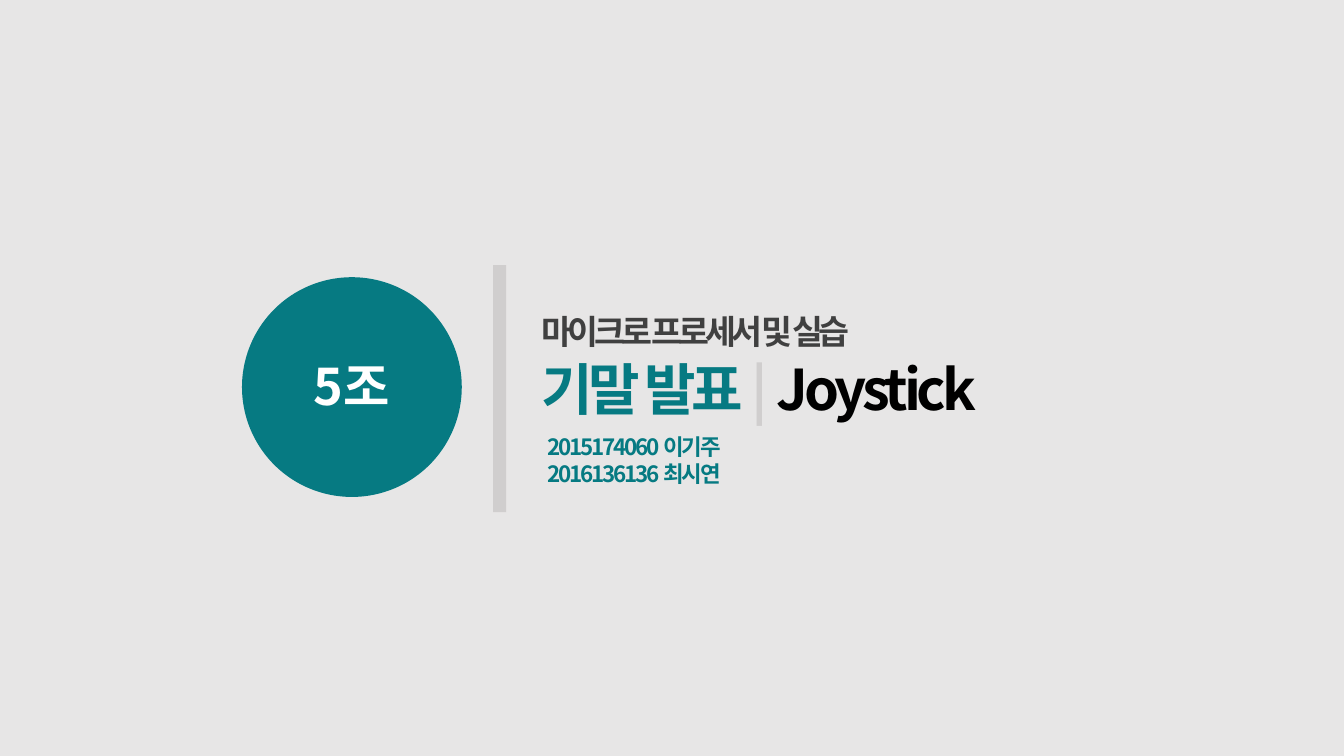
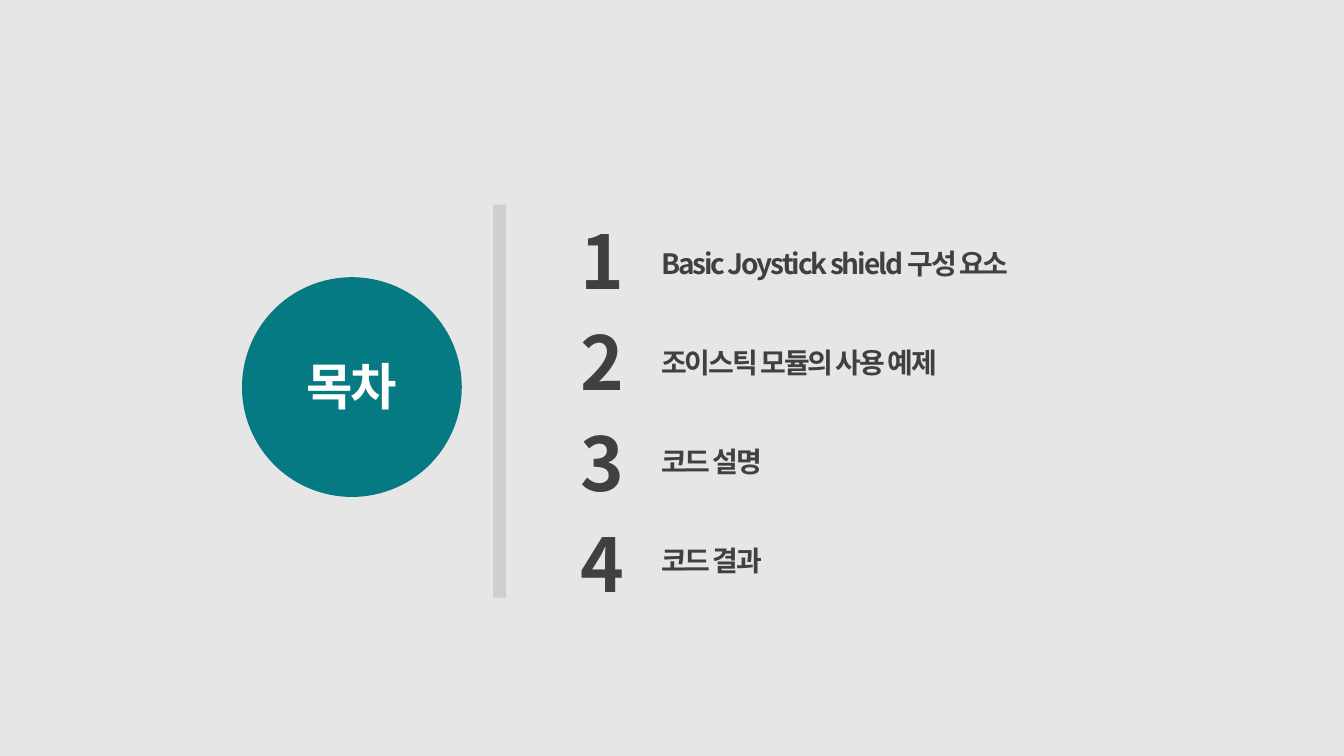
from lxml import etree
from pptx import Presentation
from pptx.dml.color import RGBColor
from pptx.enum.shapes import MSO_SHAPE
from pptx.enum.text import MSO_ANCHOR, MSO_AUTO_SIZE, PP_ALIGN
from pptx.oxml import parse_xml
from pptx.oxml.ns import nsdecls, qn
from pptx.util import Inches, Pt

# Content
COURSE = "마이크로 프로세서 및 실습"
TEAM = "5조"
MEMBERS = ["2015174060 이기주", "2016136136 최시연"]
AGENDA = "목차"
TOPICS = ["Basic Joystick shield 구성 요소", "조이스틱 모듈의 사용 예제",
          "코드 설명", "코드 결과"]
WIDTHS = [3.8, 3.29, 1.32, 1.32]

# Style
FONT = "Noto Sans CJK KR"
PAPER = RGBColor(0xE7, 0xE6, 0xE6)
TEAL = RGBColor(0x06, 0x7A, 0x82)
GRAY = RGBColor(0xD0, 0xCE, 0xCE)
DARK = RGBColor(0x40, 0x40, 0x40)
WHITE = RGBColor(0xFF, 0xFF, 0xFF)
BLACK = RGBColor(0, 0, 0)
OVAL, RECT = MSO_SHAPE.OVAL, MSO_SHAPE.RECTANGLE
LEFT, CENTER = PP_ALIGN.LEFT, PP_ALIGN.CENTER
TOP, GROW = MSO_ANCHOR.TOP, MSO_AUTO_SIZE.SHAPE_TO_FIT_TEXT
HEAD = [("기말 발표 ", TEAL), ("| ", GRAY), ("Joystick", BLACK)]
EDGE = (f'<a:ln {nsdecls("a")} w="9525"><a:solidFill><a:srgbClr val="3B3838">'
        '<a:alpha val="15000"/></a:srgbClr></a:solidFill></a:ln>')


def place(shape, box):
    shape.left, shape.top, shape.width, shape.height = map(Inches, box)


def style(par, size, color, gap, align):
    par.alignment = align
    font = par.font
    font.name, font.size, font.bold = FONT, Pt(size), True
    font.color.rgb = color
    props = par._p.pPr.find(qn("a:defRPr"))
    props.set("spc", str(int(gap * 100)))
    east = etree.SubElement(props, qn("a:ea"))
    east.set("typeface", FONT)
    props.find(qn("a:latin")).addnext(east)


def write(shape, box, lines, size, color, gap=0, align=LEFT, wrap=False):
    """Each line is a string or a list of (text, color) runs."""
    place(shape, box)
    frame = shape.text_frame
    frame.word_wrap, frame.auto_size = wrap, GROW
    frame.vertical_anchor = TOP
    for i, line in enumerate(lines):
        par = frame.add_paragraph() if i else frame.paragraphs[0]
        style(par, size, color, gap, align)
        if isinstance(line, str):
            par.add_run().text = line
            continue
        for text, tint in line:
            run = par.add_run()
            run.text = text
            run.font.color.rgb = tint
    return shape


def label(slide, box, *args, **opts):
    return write(slide.shapes.add_textbox(0, 0, 0, 0), box, *args, **opts)


def title(slide, *args, **opts):
    shape = write(slide.shapes.title, *args, **opts)
    # Bring the title in front of the circle
    shape.element.getparent().append(shape.element)


def block(slide, kind, box, color):
    shape = slide.shapes.add_shape(kind, *map(Inches, box))
    shape.shadow.inherit = False
    shape.fill.solid()
    shape.fill.fore_color.rgb = color
    shape.line.fill.background()


def start(top, height):
    """New slide with the circle and a vertical bar."""
    slide = prs.slides.add_slide(prs.slide_layouts[5])
    block(slide, OVAL, (2.4, 2.75, 2.18, 2.18), TEAL)
    block(slide, RECT, (4.89, top, 0.13, height), GRAY)
    return slide


prs = Presentation()
prs.slide_width, prs.slide_height = Inches(13.33), Inches(7.5)
back = prs.slide_master.background.fill
back.solid()
back.fore_color.rgb = PAPER

# Cover
cover = start(2.63, 2.45)
label(cover, (5.27, 3.04, 3.67, 0.5), [COURSE], 24, DARK, gap=-3)
label(cover, (5.33, 4.25, 1.96, 0.64), MEMBERS, 16, TEAL, gap=-1.5)
label(cover, (2.99, 3.47, 1, 0.71), [TEAM], 36, WHITE, align=CENTER)
title(cover, (5.27, 3.47, 6.56, 0.77), [HEAD], 40, TEAL, gap=-3, wrap=True)

# Agenda
agenda = start(2.03, 3.9)
title(agenda, (2.88, 3.47, 1.21, 0.71), [AGENDA], 36, WHITE, gap=-1.5,
      align=CENTER)
for i, (topic, width) in enumerate(zip(TOPICS, WIDTHS)):
    label(agenda, (5.66, 2.09 + i, 0.63, 0.99), [str(i + 1)], 53, DARK)
    item = label(agenda, (6.46, 2.4 + 0.98 * i, width, 0.44), [topic], 20,
                 DARK, gap=-1.5)
    run = item.text_frame.paragraphs[0].runs[0]
    run._r.get_or_add_rPr().insert(0, parse_xml(EDGE))

prs.save("out.pptx")
